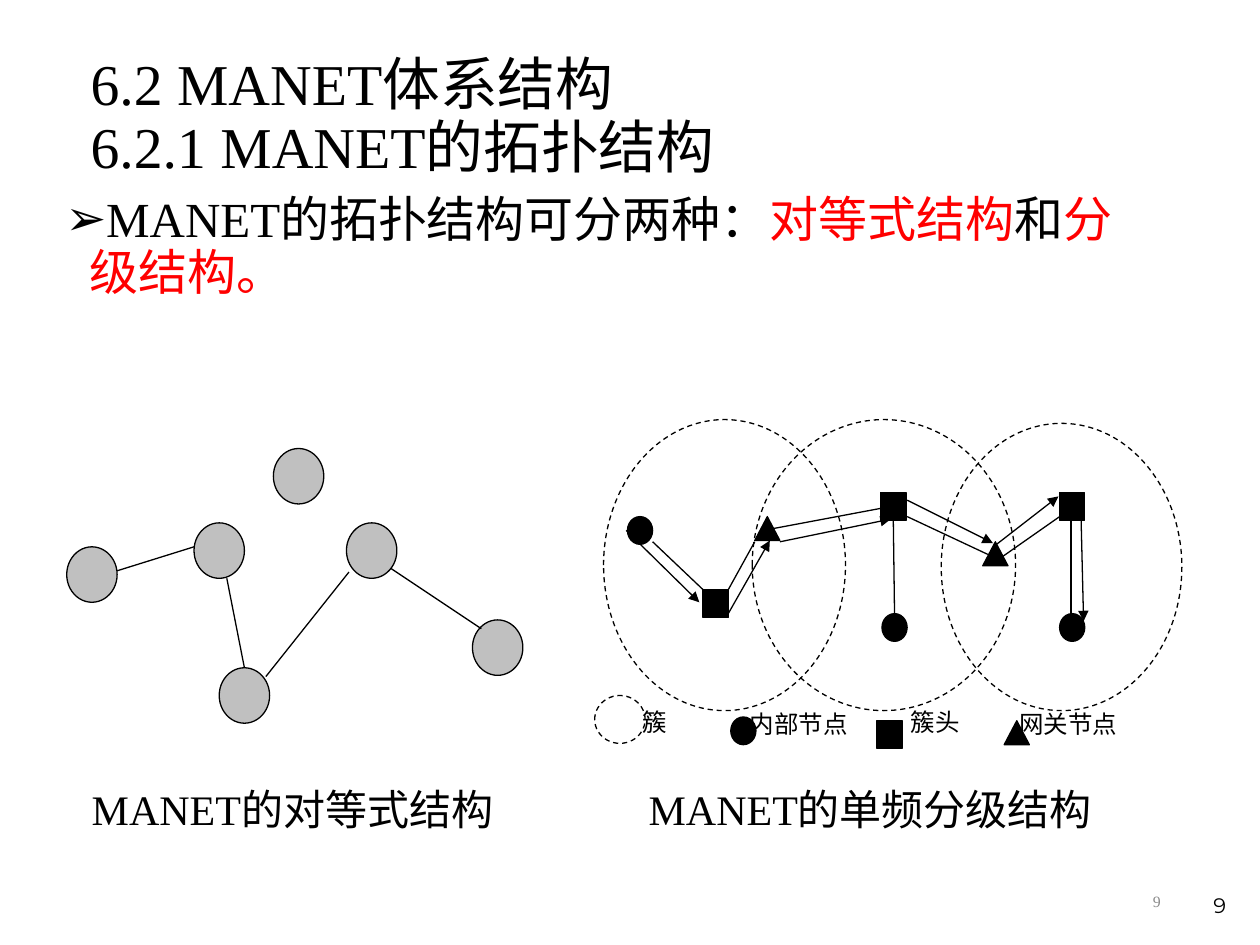
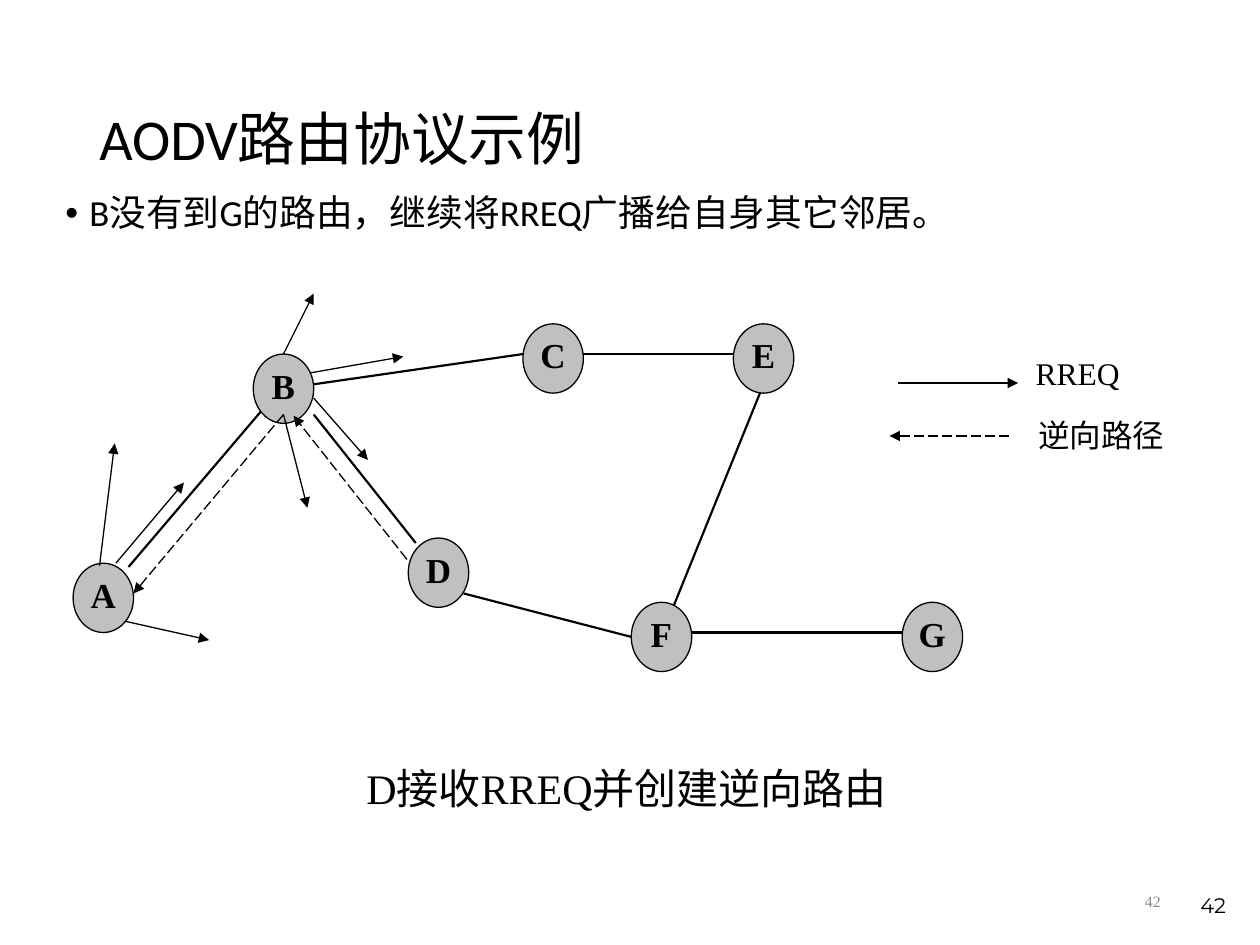
"""Builds two slides on MANET topology and AODV routing."""
from lxml import etree
from pptx import Presentation
from pptx.dml.color import RGBColor
from pptx.enum.dml import MSO_LINE
from pptx.enum.shapes import MSO_CONNECTOR, MSO_SHAPE
from pptx.enum.text import MSO_ANCHOR, MSO_AUTO_SIZE, PP_ALIGN
from pptx.oxml.ns import qn
from pptx.util import Inches, Pt

COLORS = {"ink": "000000", "paper": "FFFFFF", "node": "C0C0C0",
          "key": "FF0000", "muted": "898989"}
SERIF, SANS, NUMBER = "Times New Roman", "Calibri", "Montserrat"
CIRCLE, SQUARE, TRIANGLE = MSO_SHAPE.OVAL, MSO_SHAPE.RECTANGLE, MSO_SHAPE.ISOSCELES_TRIANGLE
STRAIGHT = MSO_CONNECTOR.STRAIGHT
DASH, LONG_DASH = MSO_LINE.DASH, MSO_LINE.LONG_DASH
TOP, MIDDLE, BOTTOM = MSO_ANCHOR.TOP, MSO_ANCHOR.MIDDLE, MSO_ANCHOR.BOTTOM
LEFT, CENTER, RIGHT, JUSTIFY = PP_ALIGN.LEFT, PP_ALIGN.CENTER, PP_ALIGN.RIGHT, PP_ALIGN.JUSTIFY
FIT = MSO_AUTO_SIZE.SHAPE_TO_FIT_TEXT
COLUMNS, ROWS = 10, 7.5
CELL = Inches(1)
THIN, THICK = 0.75, 1.25
PEER_SIZE, ROUTER_SIZE = (0.4, 0.44), (0.48, 0.55)
MARKER_SIZES = {CIRCLE: (0.2, 0.22), SQUARE: (0.2, 0.22), TRIANGLE: (0.2, 0.19)}


def grid(*cells):
    """Turn grid columns and rows into slide lengths."""
    return [round(cell * CELL) for cell in cells]


def rgb(name):
    """Look up a named colour."""
    return RGBColor.from_string(COLORS[name])


def style_run(run, size, font, color="ink", bold=False):
    """Set the look of one run."""
    run.font.size, run.font.name, run.font.bold = Pt(size), font, bold
    run.font.color.rgb = rgb(color)


def add_text(slide, box, text, size, font=SERIF, color="ink", align=LEFT,
             anchor=TOP, spacing=None, inset=True, wrap=True):
    """Add a one-paragraph text box and return its paragraph."""
    frame = slide.shapes.add_textbox(*grid(*box)).text_frame
    frame.word_wrap, frame.vertical_anchor = wrap, anchor
    if not wrap:
        frame.auto_size = FIT
    if not inset:
        frame.margin_left = frame.margin_right = frame.margin_top = frame.margin_bottom = 0
    frame.text = text
    paragraph = frame.paragraphs[0]
    paragraph.alignment = align
    if spacing:
        paragraph.line_spacing = spacing
    for run in paragraph.runs:
        style_run(run, size, font, color)
    return paragraph


def add_title(slide, box, text, font):
    """Add the slide title."""
    add_text(slide, box, text, 33, font, anchor=MIDDLE, spacing=0.9)


def add_bullet(slide, box, mark, parts, size, font):
    """Add a bulleted statement made of (text, colour) parts."""
    paragraph = add_text(slide, box, "", size, font, spacing=0.9)
    props = paragraph._p.get_or_add_pPr()
    hang = grid(0.19)[0]
    props.set("marL", str(hang))
    props.set("indent", str(-hang))
    bullet_color = etree.SubElement(props, qn("a:buClr"))
    etree.SubElement(bullet_color, qn("a:srgbClr"), val=COLORS["ink"])
    etree.SubElement(props, qn("a:buFont"), typeface="Arial")
    etree.SubElement(props, qn("a:buChar"), char=mark)
    for text, color in parts:
        run = paragraph.add_run()
        run.text = text
        style_run(run, size, font, color)


def add_page_numbers(slide, number):
    """Add the grey and the black page number."""
    add_text(slide, (7.06, 6.95, 2.25, 0.4), number, 9, color="muted", align=RIGHT, anchor=MIDDLE)
    add_text(slide, (7.5, 6.83, 2.33, 0.5), number, 12, NUMBER, align=RIGHT, anchor=BOTTOM)


def add_caption(slide, box, text):
    """Add the caption below a diagram."""
    add_text(slide, box, text, 24, anchor=MIDDLE, wrap=False)


def add_label(slide, box, text, size):
    """Add a legend label."""
    add_text(slide, box, text, size, align=JUSTIFY, inset=False)


def add_outline(slide, kind, place, size, fill=None, dash=None):
    """Add a preset shape with a thin black line."""
    shape = slide.shapes.add_shape(kind, *grid(*place, *size))
    shape.shadow.inherit = False
    if fill:
        shape.fill.solid()
        shape.fill.fore_color.rgb = rgb(fill)
    else:
        shape.fill.background()
    shape.line.color.rgb, shape.line.width = rgb("ink"), Pt(THIN)
    if dash:
        shape.line.dash_style = dash
    return shape


def add_marker(slide, kind, left, top):
    """Add a black node marker of the cluster diagram."""
    return add_outline(slide, kind, (left, top), MARKER_SIZES[kind], "ink")


def add_router(slide, name, left, top):
    """Add a named router."""
    router = add_outline(slide, CIRCLE, (left, top), ROUTER_SIZE, "node")
    frame = router.text_frame
    frame.margin_left = frame.margin_right = frame.margin_top = frame.margin_bottom = 0
    frame.vertical_anchor = TOP
    frame.text = name
    frame.paragraphs[0].alignment = CENTER
    style_run(frame.paragraphs[0].runs[0], 20, SERIF, bold=True)


def add_links(slide, links, width=THIN, arrow=False, dash=None):
    """Add straight links given as start and end points."""
    connectors = []
    for ends in links:
        link = slide.shapes.add_connector(STRAIGHT, *grid(*ends))
        link.line.color.rgb, link.line.width = rgb("ink"), Pt(width)
        if dash:
            link.line.dash_style = dash
        props = link.element.spPr
        if arrow:
            etree.SubElement(props.find(qn("a:ln")), qn("a:tailEnd"), type="triangle")
        etree.SubElement(props, qn("a:effectLst"))
        connectors.append(link)
    return connectors


def draw_peers(slide):
    """Draw the flat network."""
    for place in [(0.53, 4.34), (1.54, 4.15), (1.74, 5.3), (2.75, 4.15), (2.17, 3.56), (3.75, 4.92)]:
        add_outline(slide, CIRCLE, place, PEER_SIZE, "node")
    add_links(slide, [(0.93, 4.53, 1.54, 4.34), (1.8, 4.59, 1.94, 5.3),
                      (2.11, 5.37, 2.77, 4.54), (3.1, 4.51, 3.82, 4.99)])


def draw_clusters(slide):
    """Draw the clustered network."""
    for place in [(4.98, 4.1), (7, 4.87), (8.41, 4.87)]:
        add_marker(slide, CIRCLE, *place)
    for place in [(5.99, 4.1), (7.8, 4.3)]:
        add_marker(slide, TRIANGLE, *place)
    heads = [add_marker(slide, SQUARE, *place) for place in [(5.58, 4.68), (6.99, 3.91), (8.41, 3.91)]]
    links = add_links(slide, [(7.1, 4.13, 7.1, 4.91), (8.5, 4.12, 8.5, 5.08),
                              (5.18, 4.3, 5.58, 4.68), (5.99, 4.3, 5.78, 4.68),
                              (7.91, 4.45, 8.41, 4.1), (7.2, 4.1, 7.84, 4.4),
                              (6.11, 4.2, 7.07, 4.02)])
    links[0].begin_connect(heads[1], 2)
    for left, top, width, height in [(4.79, 3.33, 1.92, 2.31), (5.97, 3.33, 2.09, 2.31),
                                     (7.47, 3.36, 1.91, 2.28)]:
        add_outline(slide, CIRCLE, (left, top), (width, height), dash=DASH)
    add_links(slide, [(4.97, 4.21, 5.55, 4.78), (5.78, 4.87, 6.11, 4.29),
                      (6.19, 4.3, 7.07, 4.12), (7.2, 3.97, 7.88, 4.31),
                      (7.91, 4.32, 8.4, 3.94), (8.58, 4.11, 8.6, 4.93)], arrow=True)


def draw_cluster_legend(slide):
    """Draw the key to the clustered network."""
    add_outline(slide, CIRCLE, (4.72, 5.52), (0.4, 0.38), "paper", DASH)
    for kind, left, top in [(CIRCLE, 5.8, 5.69), (SQUARE, 6.96, 5.72), (TRIANGLE, 7.97, 5.72)]:
        add_marker(slide, kind, left, top)
    for text, box in [("簇", (5.1, 5.61, 0.4, 0.39)), ("内部节点", (5.95, 5.63, 1.09, 0.32)),
                      ("簇头", (7.23, 5.61, 0.52, 0.28)), ("网关节点", (8.09, 5.63, 1.04, 0.34))]:
        add_label(slide, box, text, 14)


def draw_routing(slide):
    """Draw the routers, their links and the request broadcast."""
    add_links(slide, [(1.02, 4.5, 2.11, 3.22), (2.49, 3.05, 4.15, 2.81),
                      (4.63, 2.81, 5.82, 2.81), (2.49, 3.29, 3.3, 4.31),
                      (3.68, 4.71, 5.03, 5.06), (5.35, 4.8, 6.06, 3.05),
                      (5.49, 5.02, 7.16, 5.02)], THICK)
    routers = {"A": (0.58, 4.47), "B": (2.01, 2.81), "C": (4.15, 2.57), "E": (5.82, 2.57),
               "F": (5.01, 4.78), "D": (3.24, 4.27), "G": (7.16, 4.78)}
    for name, place in routers.items():
        add_router(slide, name, *place)
    requests = [(0.99, 4.93, 1.66, 5.08), (0.92, 4.47, 1.46, 3.83), (0.79, 4.49, 0.91, 3.52),
                (2.25, 2.81, 2.49, 2.33), (2.46, 2.96, 3.2, 2.83), (2.49, 3.16, 2.92, 3.65),
                (2.25, 3.29, 2.44, 4.03)]
    reverse_paths = [(2.25, 3.29, 1.06, 4.71), (3.23, 4.44, 2.33, 3.3)]
    request_key, reverse_key = (7.13, 3.04, 8.08, 3.04), (8.01, 3.46, 7.06, 3.46)
    add_links(slide, requests + [request_key], arrow=True)
    add_links(slide, reverse_paths + [reverse_key], arrow=True, dash=LONG_DASH)
    add_label(slide, (8.22, 2.81, 0.95, 0.47), "RREQ", 18)
    add_label(slide, (8.24, 3.3, 1.01, 0.47), "逆向路径", 18)


def build_topology(slide):
    """Build the slide on the two topologies."""
    add_title(slide, (0.62, 0.39, 8.62, 1.1), "6.2 MANET体系结构\v6.2.1 MANET的拓扑结构", SERIF)
    add_bullet(slide, (0.42, 1.5, 8.83, 1), "➢",
               [("MANET的拓扑结构可分两种：", "ink"), ("对等式结构", "key"),
                ("和", "ink"), ("分级结构。", "key")], 28, SERIF)
    add_page_numbers(slide, "9")
    draw_peers(slide)
    draw_clusters(slide)
    draw_cluster_legend(slide)
    add_caption(slide, (0.63, 6.17, 3.54, 0.5), "MANET的对等式结构")
    add_caption(slide, (5.05, 6.17, 3.87, 0.5), "MANET的单频分级结构")


def build_routing(slide):
    """Build the slide on the routing example."""
    add_title(slide, (0.69, 0.4, 8.63, 1.45), "AODV路由协议示例", SANS)
    add_bullet(slide, (0.42, 1.5, 8.92, 0.58), "•",
               [("B没有到G的路由，继续将RREQ广播给自身其它邻居。", "ink")], 21, SANS)
    add_page_numbers(slide, "42")
    draw_routing(slide)
    add_caption(slide, (2.81, 6, 4.62, 0.5), "D接收RREQ并创建逆向路由")


def main():
    """Build and save the presentation."""
    deck = Presentation()
    deck.slide_width, deck.slide_height = grid(COLUMNS, ROWS)
    blank = deck.slide_layouts[6]
    for build in (build_topology, build_routing):
        build(deck.slides.add_slide(blank))
    deck.save("out.pptx")


if __name__ == "__main__":
    main()
